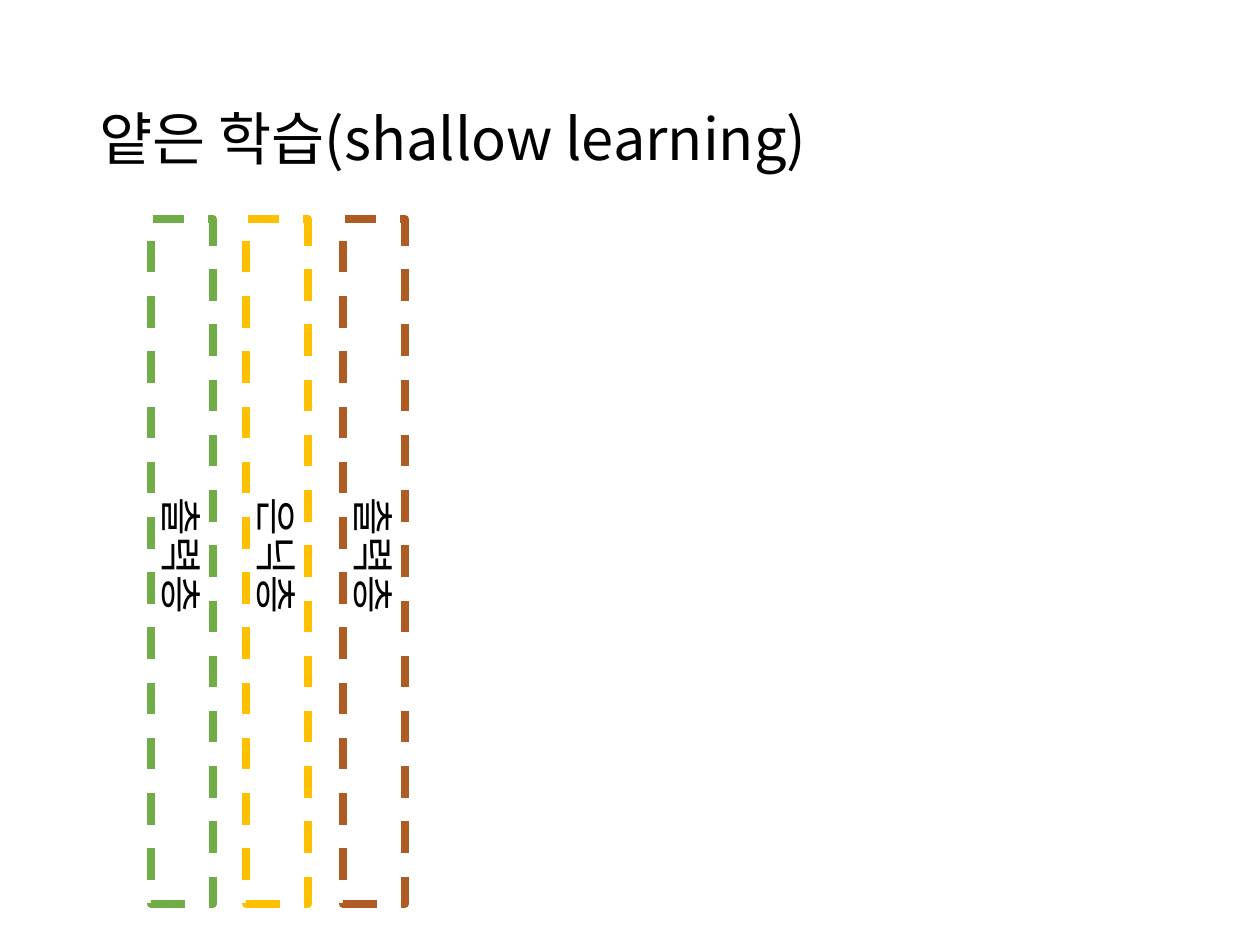
from pptx import Presentation
from pptx.dml.color import RGBColor
from pptx.enum.dml import MSO_LINE
from pptx.enum.shapes import MSO_SHAPE
from pptx.enum.text import MSO_ANCHOR, MSO_AUTO_SIZE
from pptx.oxml.ns import qn
from pptx.util import Pt
from lxml.etree import SubElement

PX = 914400 / 126
FONT = "Noto Sans CJK KR"
LAYERS = [(151, "70AD47", "츨력층"), (246, "FFC000", "은닉층"), (343, "AF5C24", "츨력층")]


def px(*lengths):
    return [round(length * PX) for length in lengths]


def color(value):
    return RGBColor.from_string(value)


def add_text(page, box, text, size):
    frame = page.shapes.add_textbox(*px(*box)).text_frame
    para = frame.paragraphs[0]
    para.text = text
    span = para.runs[0]
    span.font.name = FONT
    span.font.size = Pt(size)
    span.font.color.rgb = color("000000")
    # Hangul takes the East Asian typeface
    SubElement(span.font._element, qn("a:ea"), typeface=FONT)
    return frame


def add_title(page, box, text):
    frame = add_text(page, box, text, 33)
    frame.word_wrap = True
    frame.vertical_anchor = MSO_ANCHOR.MIDDLE
    frame.paragraphs[0].line_spacing = 0.9


def add_layer(page, box, line_color, name):
    # Dashed outline
    outline = page.shapes.add_shape(MSO_SHAPE.RECTANGLE, *px(*box))
    outline.shadow.inherit = False
    outline.fill.background()
    outline.line.color.rgb = color(line_color)
    outline.line.width = Pt(4.5)
    outline.line.dash_style = MSO_LINE.DASH

    # Turned label, centred in the outline
    left, top, width, height = box
    label_width, label_height = 152, 64
    label_box = (left + (width - label_width) / 2, top + (height - label_height) / 2,
                 label_width, label_height)
    frame = add_text(page, label_box, name, 24)
    frame.word_wrap = False
    frame.auto_size = MSO_AUTO_SIZE.SHAPE_TO_FIT_TEXT
    page.shapes[-1].rotation = 90


def main():
    deck = Presentation()
    deck.slide_width, deck.slide_height = px(1260, 945)
    page = deck.slides.add_slide(deck.slide_layouts[6])

    add_title(page, (87, 50, 1086, 183), "얕은 학습(shallow learning)")
    for left, line_color, name in LAYERS:
        add_layer(page, (left, 219, 62, 685), line_color, name)

    deck.save("out.pptx")


if __name__ == "__main__":
    main()
